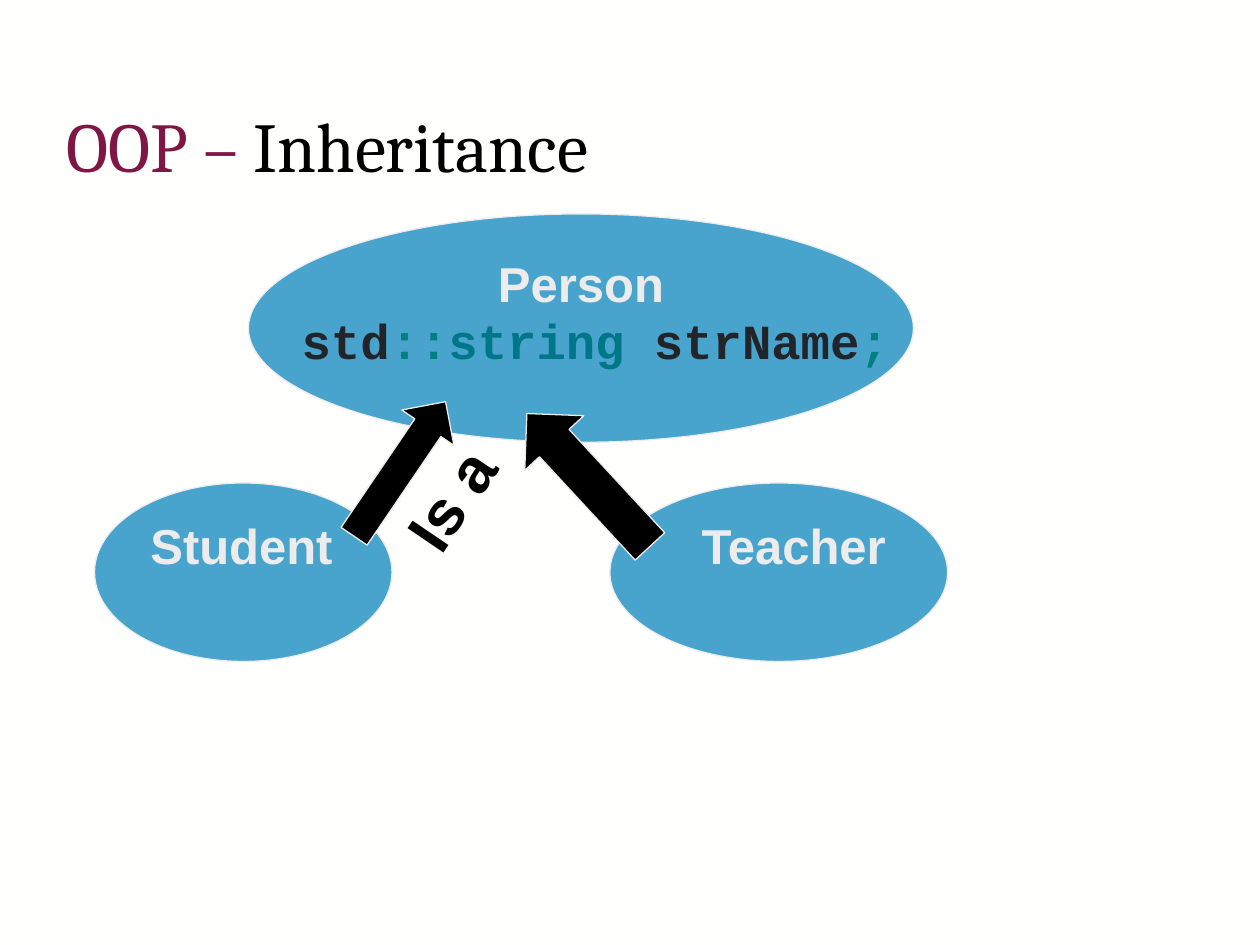
from pptx import Presentation
from pptx.dml.color import RGBColor
from pptx.enum import shapes, text
from pptx.util import Pt

PAPER = RGBColor(0xFF, 0xFF, 0xFE)
PLUM = RGBColor(0x7F, 0x17, 0x45)
BLACK = RGBColor(0, 0, 0)
BLUE = RGBColor(0x48, 0xA4, 0xCD)
PALE = RGBColor(0xEC, 0xEC, 0xEC)
INK = RGBColor(0x21, 0x25, 0x29)
TEAL = RGBColor(0, 0x80, 0x80)
TYPE_TEAL = RGBColor(0, 0x77, 0x88)

LEFT, CENTER, RIGHT = (
    text.PP_ALIGN.LEFT, text.PP_ALIGN.CENTER, text.PP_ALIGN.RIGHT)
TOP, MIDDLE = text.MSO_ANCHOR.TOP, text.MSO_ANCHOR.MIDDLE
STUDENT_ANGLE, TEACHER_ANGLE = 304.2, 227.2


def write(shape, spans, font, size, bold=True, align=LEFT, anchor=TOP):
    """Fill the shape with one paragraph of (wording, colour) spans."""
    frame = shape.text_frame
    frame.word_wrap = True
    frame.vertical_anchor = anchor
    para = frame.paragraphs[0]
    para.alignment = align
    for wording, color in spans:
        span = para.add_run()
        span.text = wording
        span.font.name = font
        span.font.size = Pt(size)
        span.font.bold = bold
        span.font.color.rgb = color


def add_text(page, bounds, spans, font, size, angle=0, **style):
    box = page.shapes.add_textbox(*map(Pt, bounds))
    box.rotation = angle
    write(box, spans, font, size, **style)


def add_outlined(page, kind, bounds, fill):
    shape = page.shapes.add_shape(kind, *map(Pt, bounds))
    shape.shadow.inherit = False
    shape.fill.solid()
    shape.fill.fore_color.rgb = fill
    shape.line.color.rgb = PALE
    shape.line.width = Pt(0.75)
    return shape


def add_class(page, name, bounds, align):
    ellipse = add_outlined(page, shapes.MSO_SHAPE.OVAL, bounds, BLUE)
    write(ellipse, [(name, PALE)], "Arial", 28, align=align)


def add_arrow(page, bounds, angle):
    arrow = add_outlined(page, shapes.MSO_SHAPE.RIGHT_ARROW, bounds, BLACK)
    arrow.rotation = angle


def main():
    deck = Presentation()
    deck.slide_width, deck.slide_height = Pt(720), Pt(540)
    page = deck.slides.add_slide(deck.slide_layouts[6])
    page.background.fill.solid()
    page.background.fill.fore_color.rgb = PAPER

    add_text(page, (31, 37.5, 612, 90),
             [("OOP – ", PLUM), ("Inheritance", BLACK)],
             "Cambria", 40, bold=False, anchor=MIDDLE)

    add_class(page, "Student", (54, 276, 170, 102), LEFT)
    add_class(page, "Teacher", (348.5, 276, 193, 102), RIGHT)
    add_class(page, "Person", (142, 122.25, 380, 130.5), CENTER)

    add_arrow(page, (182, 250, 93, 36), STUDENT_ANGLE)
    add_arrow(page, (284.5, 251.25, 103.5, 46), TEACHER_ANGLE)
    add_text(page, (217, 261, 80, 48), [("Is a", BLACK)], "Arial", 36,
             angle=STUDENT_ANGLE, align=CENTER, anchor=MIDDLE)

    add_text(page, (148.5, 174, 480, 41),
             [(" std", INK), ("::", TEAL), ("string", TYPE_TEAL),
              (" strName", INK), (";", TEAL)],
             "Courier New", 28)

    deck.save("out.pptx")


if __name__ == "__main__":
    main()
